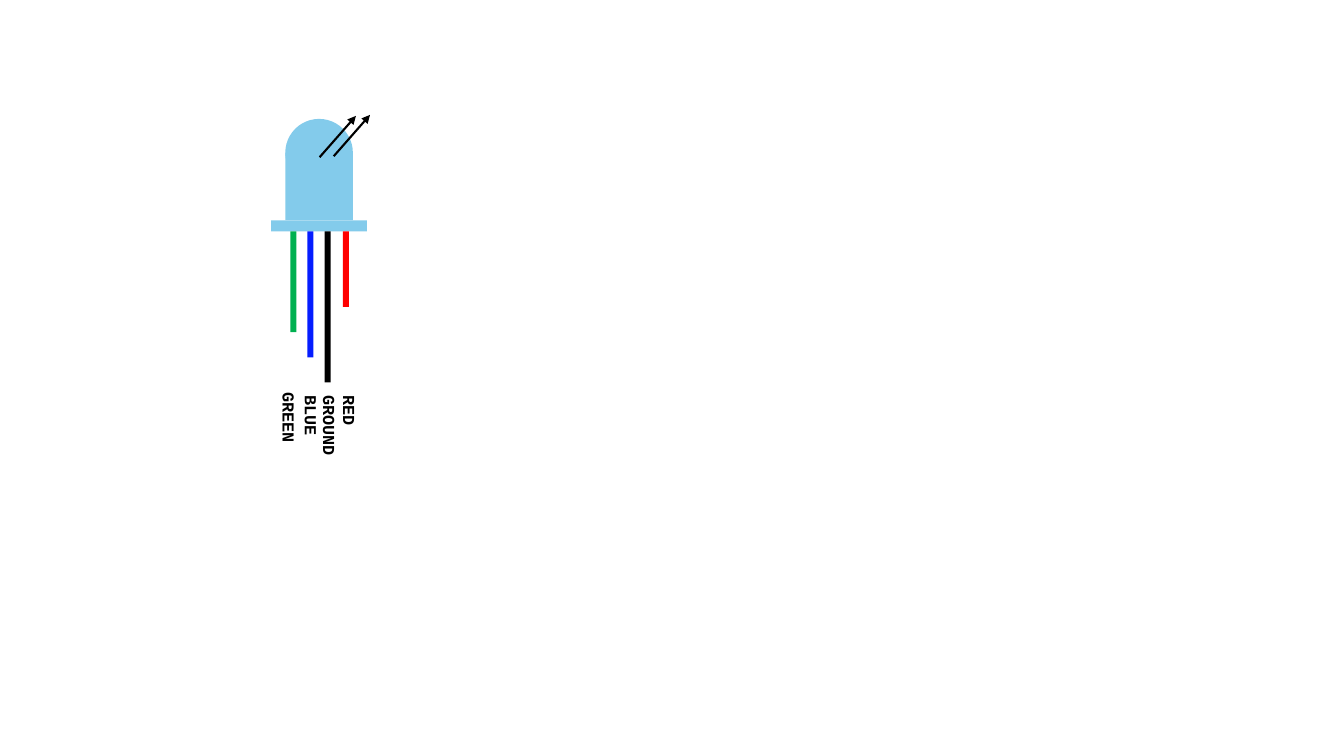
from dataclasses import dataclass

from lxml.etree import SubElement
from pptx import Presentation
from pptx.dml.color import RGBColor
from pptx.enum.shapes import MSO_CONNECTOR, MSO_SHAPE
from pptx.enum.text import MSO_AUTO_SIZE
from pptx.oxml.ns import qn
from pptx.util import Inches, Pt


@dataclass(frozen=True)
class Theme:
    lens: str = "83CBEB"
    ink: str = "000000"
    green: str = "00B050"
    blue: str = "051DFF"
    red: str = "FF0000"
    font: str = "Courier New"
    label_size: int = 12
    ray_width: float = 1.5


@dataclass(frozen=True)
class Box:
    left: float
    top: float
    width: float
    height: float


THEME = Theme()
LED_BOX = Box(2.69, 1.18, 0.95, 2.62)
LABEL_BOX = Box(2.69, 3.92, 0.95, 0.61)

LEADS = [
    (0.19, 1.0, THEME.green),
    (0.36, 1.25, THEME.blue),
    (0.53, 1.5, THEME.ink),
    (0.71, 0.75, THEME.red),
]
LABELS = [
    ("RED", 0.78, 0),
    ("GROUND", 0.58, 0),
    ("BLUE", 0.4, 0),
    ("GREEN", 0.18, -0.03),
]


def apply_format(target, values):
    for name, value in values.items():
        setattr(target, name, value)


def add_part(group, kind, box, color):
    part = group.shapes.add_shape(
        kind, Inches(box.left), Inches(box.top), Inches(box.width), Inches(box.height)
    )
    part.shadow.inherit = False
    part.fill.solid()
    part.fill.fore_color.rgb = RGBColor.from_string(color)
    part.line.fill.background()


def add_ray(group, left, bottom):
    ray = group.shapes.add_connector(
        MSO_CONNECTOR.STRAIGHT,
        Inches(left), Inches(bottom), Inches(left + 0.36), Inches(bottom - 0.41),
    )
    ray.line.width = Pt(THEME.ray_width)
    ray.line.color.rgb = RGBColor.from_string(THEME.ink)
    SubElement(ray.line._get_or_add_ln(), qn("a:tailEnd"), type="triangle")
    SubElement(ray._element.spPr, qn("a:effectLst"))


def draw_led(page, box):
    group = page.shapes.add_group_shape()
    diameter = 0.67
    lens_left = box.left + (box.width - diameter) / 2
    middle = box.top + diameter / 2
    rim_top = middle + diameter
    rim_height = 0.11
    add_part(group, MSO_SHAPE.OVAL, Box(lens_left, box.top, diameter, diameter), THEME.lens)
    add_part(group, MSO_SHAPE.RECTANGLE, Box(box.left, rim_top, box.width, rim_height), THEME.lens)
    add_part(group, MSO_SHAPE.RECTANGLE, Box(lens_left, middle, diameter, diameter), THEME.lens)
    for offset, length, color in LEADS:
        lead = Box(box.left + offset, rim_top + rim_height, 0.06, length)
        add_part(group, MSO_SHAPE.RECTANGLE, lead, color)
    for offset, drop in ((0.48, 0.38), (0.62, 0.37)):
        add_ray(group, box.left + offset, box.top + drop)


def draw_labels(page, box):
    height = 0.2
    for text, center, shift in LABELS:
        width = 0.1 * len(text) + 0.01
        left = box.left + center - width / 2
        top = box.top + shift + (width - height) / 2
        label = page.shapes.add_textbox(Inches(left), Inches(top), Inches(width), Inches(height))
        label.rotation = 90
        apply_format(label.text_frame, {
            "margin_left": 0,
            "margin_right": 0,
            "margin_top": 0,
            "margin_bottom": 0,
            "word_wrap": False,
            "auto_size": MSO_AUTO_SIZE.SHAPE_TO_FIT_TEXT,
        })
        span = label.text_frame.paragraphs[0].add_run()
        span.text = text
        apply_format(span.font, {"name": THEME.font, "size": Pt(THEME.label_size), "bold": True})
        span.font.color.rgb = RGBColor.from_string(THEME.ink)


def main():
    deck = Presentation()
    apply_format(deck, {"slide_width": Inches(13.33), "slide_height": Inches(7.5)})
    page = deck.slides.add_slide(deck.slide_layouts[6])
    draw_labels(page, LABEL_BOX)
    draw_led(page, LED_BOX)
    deck.save("out.pptx")


if __name__ == "__main__":
    main()
